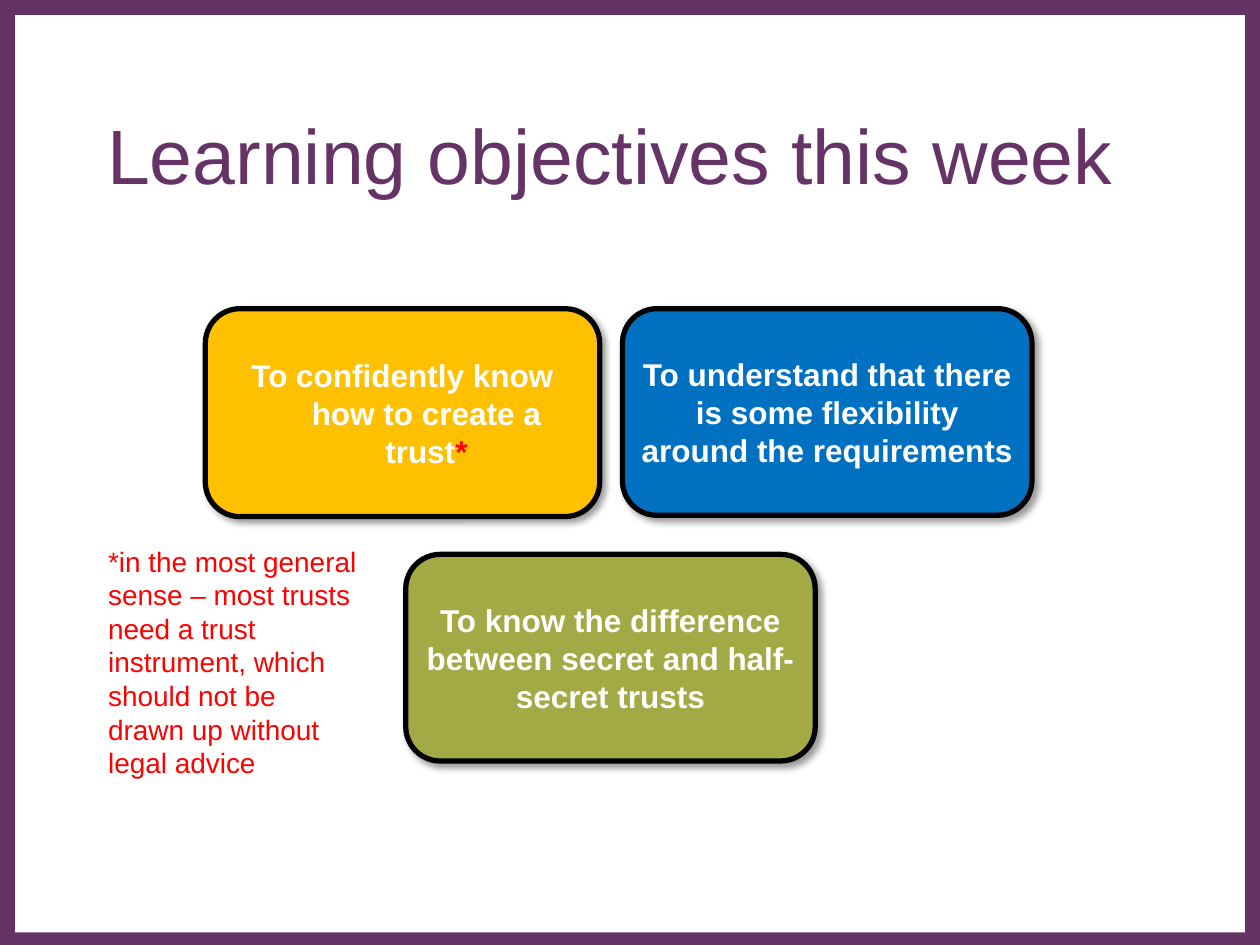
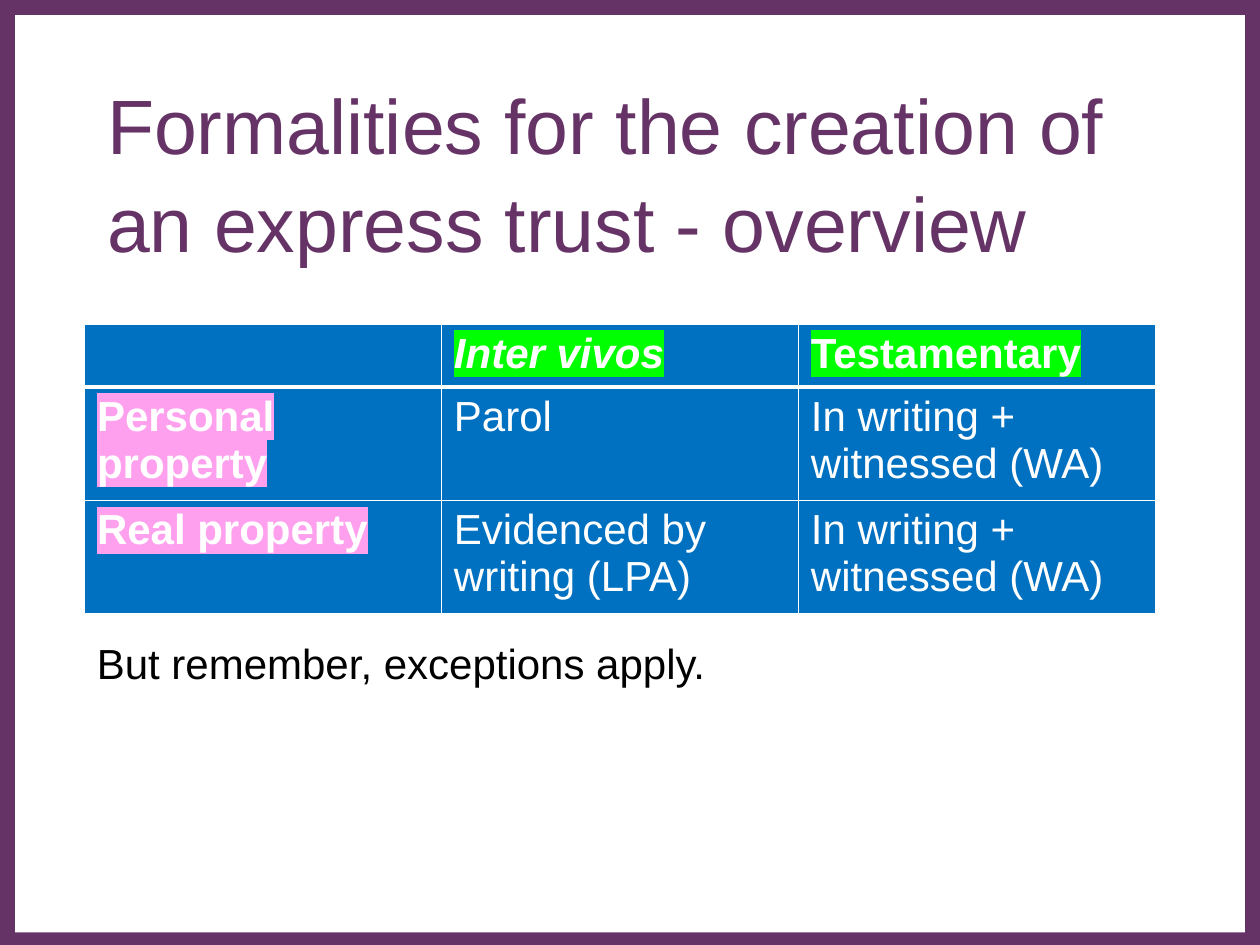
from pptx import Presentation
from pptx import util as u
from pptx.dml.color import RGBColor
from pptx.enum import shapes, text
from pptx.oxml import parse_xml
from pptx.oxml.ns import nsdecls, qn

hues = {
    "plum": "663366", "white": "FFFFFF", "black": "000000", "red": "FF0000",
    "gold": "FFC000", "blue": "0070C0", "olive": "A2A945",
    "green": "00FF00", "pink": "FEA0EE",
}
rgb = {name: RGBColor.from_string(code) for name, code in hues.items()}
NS = nsdecls("a")


def style(para, size, hue, bold=False):
    font = para.font
    font.name, font.size, font.bold = "Arial", u.Pt(size), bold
    font.color.rgb = rgb[hue]


def block(slide, kind, box, hue):
    shape = slide.shapes.add_shape(kind, *map(u.Inches, box))
    shape.shadow.inherit = False
    shape.fill.solid()
    shape.fill.fore_color.rgb = rgb[hue]
    shape.line.fill.background()
    return shape


deck = Presentation()
deck.slide_width, deck.slide_height = u.Inches(10), u.Inches(7.5)
layout = deck.slide_layouts[5]

# Titles: wording, top, top inset, bottom inset
heads = [
    ("Learning objectives this week", 0.92, 0.05, 0.74),
    ("Formalities for the creation of an express trust - overview", 0.68, 0.14, 0.05),
]
for words, top, above, below in heads:
    title = deck.slides.add_slide(layout).shapes.title
    title.left, title.top = u.Inches(0.75), u.Inches(top)
    title.width, title.height = u.Inches(8.5), u.Inches(1.25)
    frame = title.text_frame
    frame.text = words
    frame.auto_size = text.MSO_AUTO_SIZE.NONE
    frame.vertical_anchor = text.MSO_ANCHOR.MIDDLE
    frame.margin_top, frame.margin_bottom = u.Inches(above), u.Inches(below)
    para = frame.paragraphs[0]
    para.alignment = text.PP_ALIGN.LEFT
    para.line_spacing = 1.06
    style(para, 44, "plum")
goals, forms = deck.slides

# Plum border, moved to the shared layout
bands = [((0, 0, 10, 7.5), "plum"), ((0.12, 0.12, 9.76, 7.28), "white")]
for spot, (box, hue) in enumerate(bands, 2):
    band = block(goals, shapes.MSO_SHAPE.RECTANGLE, box, hue)
    layout.shapes._spTree.insert(spot, band._element)

# Objective cards
cards = [
    ((1.63, 2.45, 3.13, 1.65), "gold", "To confidently know how to create a trust"),
    ((4.94, 2.45, 3.25, 1.64), "blue",
     "To understand that there is some flexibility around the requirements"),
    ((3.22, 4.4, 3.25, 1.64), "olive",
     "To know the difference between secret and half-secret trusts"),
]
for box, hue, words in cards:
    card = block(goals, shapes.MSO_SHAPE.ROUNDED_RECTANGLE, box, hue)
    card.line.color.rgb, card.line.width = rgb["black"], u.Pt(3)
    glow = card._element.spPr.find(qn("a:effectLst"))
    glow.append(parse_xml(
        f'<a:outerShdw {NS} blurRad="{u.Pt(4)}" dist="{u.Pt(3)}" dir="2700000" '
        f'rotWithShape="0"><a:srgbClr val="{hues["black"]}">'
        '<a:alpha val="40000"/></a:srgbClr></a:outerShdw>'))
    frame = card.text_frame
    frame.text = words
    frame.vertical_anchor = text.MSO_ANCHOR.MIDDLE
    para = frame.paragraphs[0]
    para.alignment = text.PP_ALIGN.CENTER
    style(para, 18, "white", True)
    if hue == "gold":
        # Hanging indent and the red footnote mark
        para._p.pPr.set("marL", str(u.Inches(0.38)))
        para._p.pPr.set("indent", str(-u.Inches(0.38)))
        mark = para.add_run()
        mark.text = "*"
        mark.font.color.rgb = rgb["red"]
    else:
        frame.margin_left = frame.margin_right = u.Inches(0.07)
        frame.margin_top = frame.margin_bottom = u.Inches(0.04)

# Footnote and closing remark
notes = [
    (goals, (0.76, 4.27, 2.19, 1.99), 16, "red",
     "*in the most general sense – most trusts need a trust instrument, "
     "which should not be drawn up without legal advice"),
    (forms, (0.67, 5.01, 8.5, 1.34), 24, "black", "But remember, exceptions apply."),
]
for slide, box, size, hue, words in notes:
    frame = slide.shapes.add_textbox(*map(u.Inches, box)).text_frame
    frame.word_wrap = True
    frame.text = words
    style(frame.paragraphs[0], size, hue)

# Table of formalities
rows = [
    ("", "Inter vivos", "Testamentary"),
    ("Personal property", "Parol", "In writing + witnessed (WA)"),
    ("Real property", "Evidenced by writing (LPA)", "In writing + witnessed (WA)"),
]
grid = forms.shapes.add_table(
    3, 3, *map(u.Inches, (0.67, 2.57, 8.5, 2.3))).table
for row, high in zip(grid.rows, (0.5, 0.9, 0.9)):
    row.height = u.Inches(high)
for r, line in enumerate(rows):
    for c, words in enumerate(line):
        cell = grid.cell(r, c)
        cell.fill.solid()
        cell.fill.fore_color.rgb = rgb["blue"]
        # White rules, thicker under the header
        thick = {"L": 1, "R": 1, "T": 3 if r == 1 else 1, "B": 3 if r == 0 else 1}
        for n, (side, width) in enumerate(thick.items()):
            cell._tc.tcPr.insert(n, parse_xml(
                f'<a:ln{side} {NS} w="{u.Pt(width)}"><a:solidFill>'
                f'<a:srgbClr val="{hues["white"]}"/></a:solidFill></a:ln{side}>'))
        if not words:
            continue
        cell.text = words
        para = cell.text_frame.paragraphs[0]
        label = r == 0 or c == 0
        style(para, 24, "white", label)
        para.font.italic = words == "Inter vivos"
        if label:
            shade = hues["green" if r == 0 else "pink"]
            para.runs[0]._r.get_or_add_rPr().append(parse_xml(
                f'<a:highlight {NS}><a:srgbClr val="{shade}"/></a:highlight>'))

deck.save("out.pptx")
